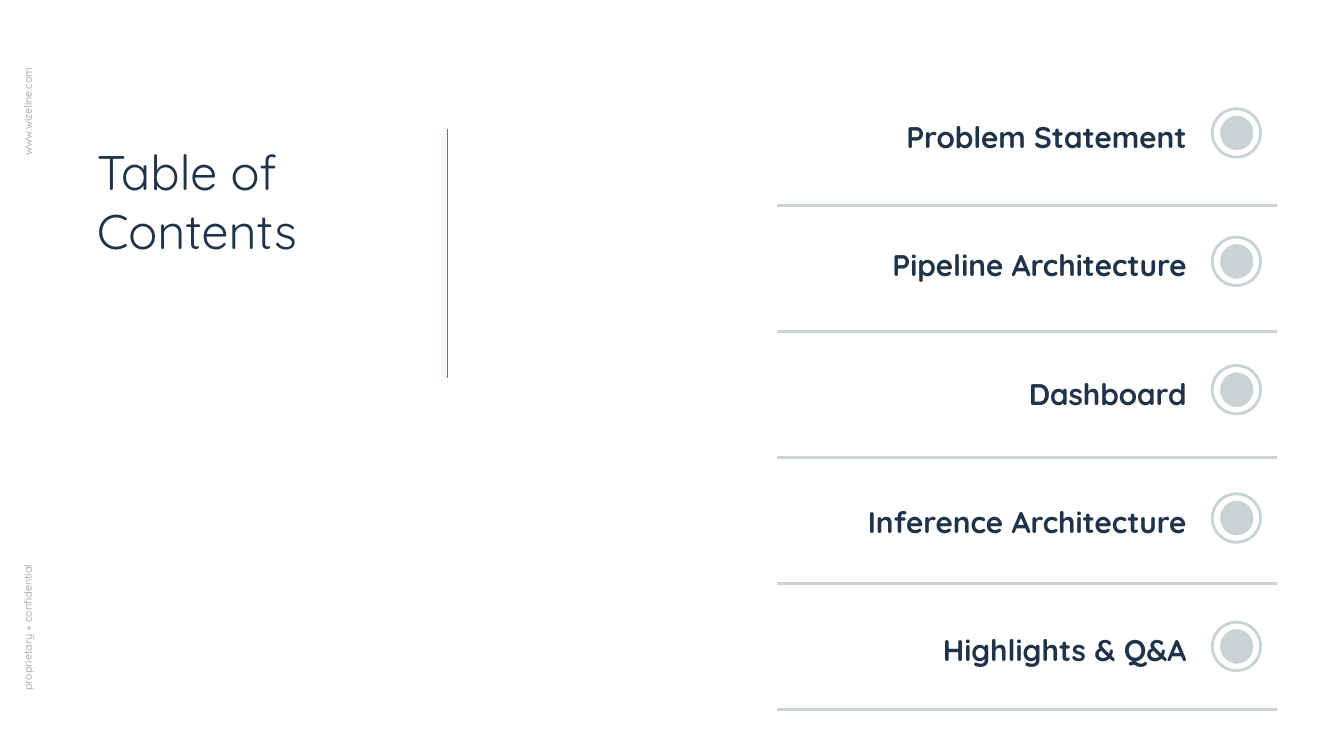
from typing import NamedTuple

from lxml import etree
from pptx import Presentation
from pptx.dml.color import RGBColor
from pptx.enum.shapes import MSO_CONNECTOR, MSO_SHAPE
from pptx.enum.text import MSO_ANCHOR, MSO_AUTO_SIZE, PP_ALIGN
from pptx.oxml.ns import qn
from pptx.util import Pt

LINE = MSO_CONNECTOR.STRAIGHT
OVAL = MSO_SHAPE.OVAL
TOP, MIDDLE = MSO_ANCHOR.TOP, MSO_ANCHOR.MIDDLE
LEFT, CENTER, RIGHT = PP_ALIGN.LEFT, PP_ALIGN.CENTER, PP_ALIGN.RIGHT
NO_FIT = MSO_AUTO_SIZE.NONE

SCALE = 2286  # EMU in one px, 400 px to the inch
FONT = "Quicksand"
COLORS = {
    "navy": "203449",
    "mist": "C9D3D5",
    "red": "EC393A",
    "gray": "999999",
    "white": "FFFFFF",
}
TOPICS = [
    "Problem Statement",
    "Pipeline Architecture",
    "Dashboard",
    "Inference Architecture",
    "Highlights & Q&A",
]
TOPIC_STEP = 382
RULE_STEP = 375


class Box(NamedTuple):
    x: int
    y: int
    w: int
    h: int

    def down(self, step: int) -> "Box":
        return self._replace(y=self.y + step)


class Style(NamedTuple):
    size: float
    color: str
    align: PP_ALIGN
    anchor: MSO_ANCHOR
    inset: int
    space: float
    bold: bool = False


HEAD = Style(26, "navy", LEFT, TOP, 40, 1.0)
SIDE = Style(5.8, "gray", CENTER, MIDDLE, 40, 0.8)
TOPIC = Style(16, "navy", RIGHT, MIDDLE, 0, 1.15, True)

TITLE = Box(248, 384, 848, 740)
NOTES = {
    "proprietary + confidential": Box(-180, 1820, 532, 96),
    "www.wizeline.com": Box(-180, 284, 532, 96),
}
LABEL = Box(2220, 316, 1312, 164)
RING = Box(3608, 324, 144, 144)
DOT = Box(3627, 340, 108, 112)


def px(num: int) -> int:
    return num * SCALE


def rgb(name: str) -> RGBColor:
    return RGBColor.from_string(COLORS[name])


def place(shape, box: Box) -> None:
    shape.left, shape.top, shape.width, shape.height = map(px, box)


def write(shape, text: str, style: Style) -> None:
    frame = shape.text_frame
    frame.text = text
    frame.word_wrap = True
    frame.auto_size = NO_FIT
    frame.vertical_anchor = style.anchor
    frame.margin_left = frame.margin_right = px(style.inset)
    frame.margin_top = frame.margin_bottom = px(style.inset)
    para = frame.paragraphs[0]
    para.alignment = style.align
    para.line_spacing = style.space
    font = para.runs[0].font
    font.name, font.size, font.bold = FONT, Pt(style.size), style.bold
    font.color.rgb = rgb(style.color)


def add_text(slide, text: str, box: Box, style: Style, turn: int = 0) -> None:
    shape = slide.shapes.add_textbox(*map(px, box))
    shape.rotation = turn
    write(shape, text, style)


def add_line(slide, box: Box, color: str, width: float) -> None:
    ends = (box.x, box.y, box.x + box.w, box.y + box.h)
    line = slide.shapes.add_connector(LINE, *map(px, ends))
    line.line.color.rgb = rgb(color)
    line.line.width = Pt(width)
    props = line._element.find(qn("p:spPr"))
    etree.SubElement(props, qn("a:effectLst"))


def add_oval(slide, box: Box, edge: str, fill: str = "") -> None:
    oval = slide.shapes.add_shape(OVAL, *map(px, box))
    oval.shadow.inherit = False
    oval.line.color.rgb = rgb(edge)
    oval.line.width = Pt(1.5)
    if fill:
        oval.fill.solid()
        oval.fill.fore_color.rgb = rgb(fill)
    else:
        oval.fill.background()


def main() -> None:
    deck = Presentation()
    deck.slide_width, deck.slide_height = px(4000), px(2250)
    slide = deck.slides.add_slide(deck.slide_layouts[5])

    title = slide.shapes.title
    place(title, TITLE)
    write(title, "Table of Contents", HEAD)
    add_line(slide, Box(1332, 384, 0, 740), "red", 0.75)
    for text, box in NOTES.items():
        add_text(slide, text, box, SIDE, 270)

    for i, topic in enumerate(TOPICS):
        drop = i * TOPIC_STEP
        add_line(slide, Box(2312, 612 + i * RULE_STEP, 1488, 0), "mist", 1.5)
        add_text(slide, topic, LABEL.down(drop), TOPIC)
        add_oval(slide, RING.down(drop), "mist")
        add_oval(slide, DOT.down(drop), "white", "mist")

    deck.save("out.pptx")


if __name__ == "__main__":
    main()
